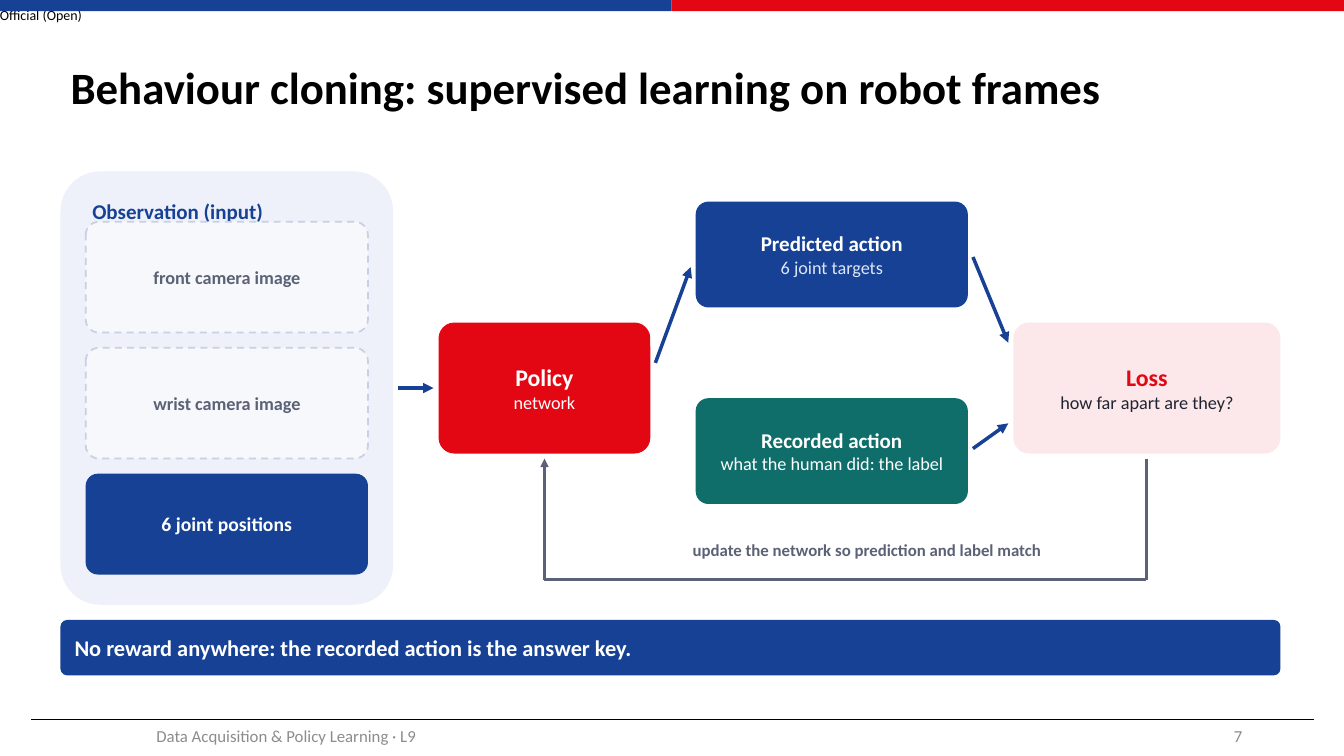
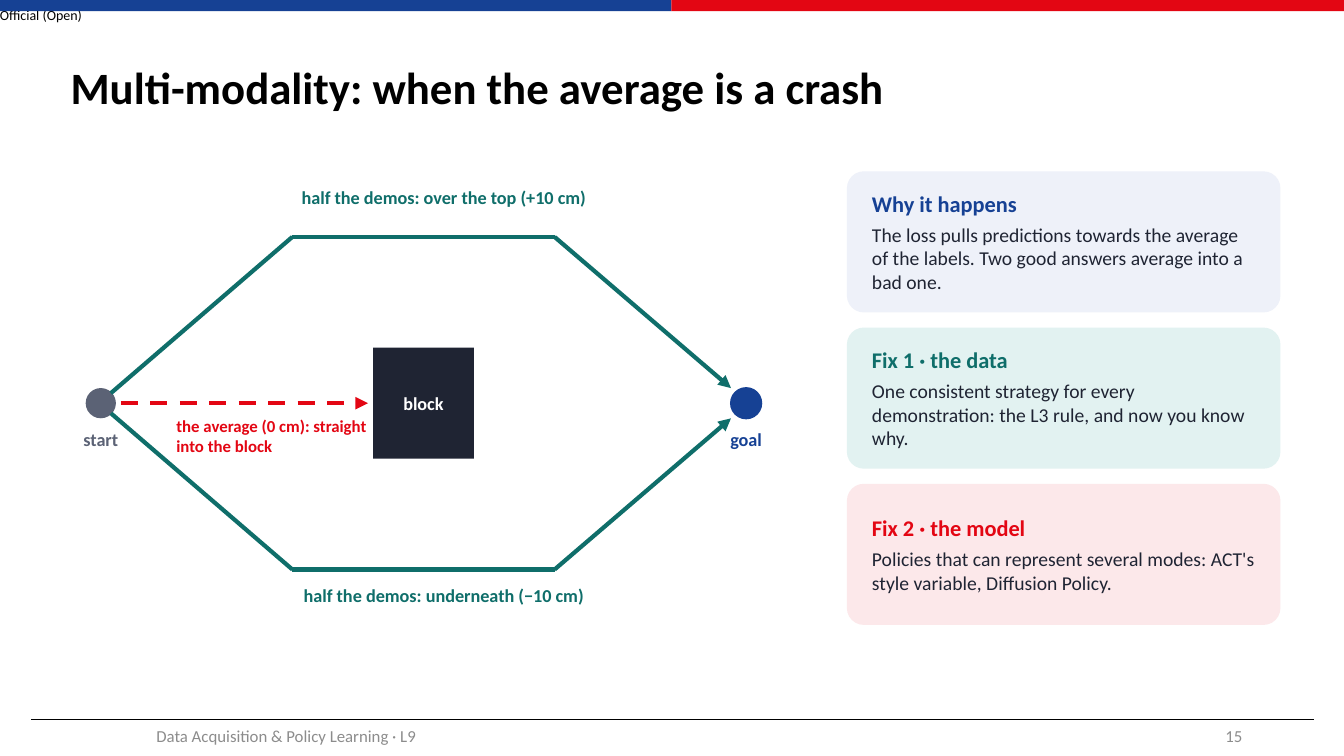
from itertools import pairwise

from lxml import etree
from pptx import Presentation
from pptx import util as u
from pptx.dml import color
from pptx.enum import dml, shapes, text
from pptx.oxml import ns

PX = 9144
WIDTH, HEIGHT = 1333, 750
FONT = "Calibri"
COLOURS = {
    "black": "000000",
    "white": "FFFFFF",
    "footer": "8C8C8C",
    "blue": "164194",
    "red": "E30613",
    "teal": "0F6E6A",
    "ink": "1F2433",
    "slate": "5B6275",
    "pale_blue": "EEF1F9",
    "pale_teal": "E2F2F1",
    "pale_red": "FCE8EA",
    "frost": "F7F8FC",
    "dash": "C9D0E3",
    "ice": "DDE5F7",
}
LEFT, CENTRE, RIGHT = text.PP_ALIGN.LEFT, text.PP_ALIGN.CENTER, text.PP_ALIGN.RIGHT
TOP, MIDDLE = text.MSO_ANCHOR.TOP, text.MSO_ANCHOR.MIDDLE
RECTANGLE = shapes.MSO_SHAPE.RECTANGLE
ROUNDED = shapes.MSO_SHAPE.ROUNDED_RECTANGLE
OVAL = shapes.MSO_SHAPE.OVAL


def emu(*lengths):
    return [u.Emu(length * PX) for length in lengths]


def rgb(name):
    return color.RGBColor.from_string(COLOURS[name])


def write(shape, words, *, size, colour, bold=True, align=CENTRE, after=0, spacing=None):
    frame = shape.text_frame
    paragraph = frame.add_paragraph() if frame.text else frame.paragraphs[0]
    paragraph.alignment = align
    paragraph.space_after = u.Pt(after)
    if spacing:
        paragraph.line_spacing = spacing
    run = paragraph.add_run()
    run.text = words
    run.font.name = FONT
    run.font.size = u.Pt(size)
    run.font.bold = bold
    run.font.color.rgb = rgb(colour)


def set_frame(shape, insets, anchor):
    frame = shape.text_frame
    frame.word_wrap = True
    frame.vertical_anchor = anchor
    frame.margin_left, frame.margin_top = frame.margin_right, frame.margin_bottom = emu(*insets)


def add_box(slide, box, fill, kind=ROUNDED, outline=None, insets=(12, 6), anchor=MIDDLE):
    shape = slide.shapes.add_shape(kind, *emu(*box))
    shape.shadow.inherit = False
    shape.fill.solid()
    shape.fill.fore_color.rgb = rgb(fill)
    if kind == ROUNDED:
        shape.adjustments[0] = 0.12
    if outline:
        shape.line.color.rgb = rgb(outline)
        shape.line.width = u.Pt(1.25)
        shape.line.dash_style = dml.MSO_LINE.DASH
    else:
        shape.line.fill.background()
    set_frame(shape, insets, anchor)
    return shape


def add_label(slide, box, words, insets=(0, 0), anchor=TOP, **style):
    label = slide.shapes.add_textbox(*emu(*box))
    set_frame(label, insets, anchor)
    write(label, words, **style)
    return label


def add_route(slide, points, colour, width, arrow=True, dashed=False):
    for start, end in pairwise(points):
        line = slide.shapes.add_connector(shapes.MSO_CONNECTOR.STRAIGHT, *emu(*start, *end))
        line.line.color.rgb = rgb(colour)
        line.line.width = u.Pt(width)
        if dashed:
            line.line.dash_style = dml.MSO_LINE.DASH
        if arrow and end == points[-1]:
            etree.SubElement(line.get_or_add_ln(), ns.qn("a:tailEnd"), type="triangle")
        etree.SubElement(line.element.spPr, ns.qn("a:effectLst"))
    return line


def decorate_layout(slide):
    half = WIDTH // 2
    parts = [
        add_label(slide, (0, 0, 113, 29), "Official (Open)", anchor=MIDDLE,
                  size=10, colour="black", bold=False, align=LEFT),
        add_box(slide, (0, 0, half, 11), "blue", RECTANGLE),
        add_box(slide, (half, 0, WIDTH - half, 11), "red", RECTANGLE),
        add_route(slide, [(31, 714), (1303, 714)], "black", 0.5, arrow=False),
    ]
    for part in parts:
        slide.slide_layout.shapes.element.append(part.element)


def start_slide(presentation, title, number):
    slide = presentation.slides.add_slide(presentation.slide_layouts[5])
    if len(presentation.slides) == 1:
        decorate_layout(slide)
    heading = slide.shapes.title
    heading.left, heading.top, heading.width, heading.height = emu(60, 30, 1208, 118)
    set_frame(heading, (10, 5), MIDDLE)
    write(heading, title, size=32, colour="black", align=LEFT, spacing=0.9)
    footer = {"insets": (10, 5), "anchor": MIDDLE, "size": 12, "colour": "footer", "bold": False}
    add_label(slide, (59, 710, 450, 40), "Data Acquisition & Policy Learning · L9", **footer)
    add_label(slide, (942, 710, 300, 40), str(number), align=RIGHT, **footer)
    return slide


def add_observation(slide, box):
    left, top, width, _ = box
    panel = add_box(slide, box, "pale_blue", insets=(20, 15), anchor=TOP)
    write(panel, "Observation (input)", size=15, colour="blue", align=LEFT)
    inputs = [
        ("front camera image", 110, "frost", "dash", 13, "slate"),
        ("wrist camera image", 110, "frost", "dash", 13, "slate"),
        ("6 joint positions", 100, "blue", None, 14, "white"),
    ]
    y = top + 50
    for words, height, fill, outline, size, colour in inputs:
        card = add_box(slide, (left + 25, y, width - 50, height), fill, outline=outline)
        write(card, words, size=size, colour=colour)
        y += height + 15


def add_training_loop(slide, box):
    left, top, width, _ = box
    nodes = [
        ((0, 150, 210, 130), "red", "Policy", 17, "white", "network", "white"),
        ((255, 30, 270, 105), "blue", "Predicted action", 15, "white", "6 joint targets", "ice"),
        ((255, 225, 270, 105), "teal", "Recorded action", 15, "white",
         "what the human did: the label", "white"),
        ((width - 265, 150, 265, 130), "pale_red", "Loss", 17, "red",
         "how far apart are they?", "ink"),
    ]
    for (x, y, w, h), fill, name, size, name_colour, detail, detail_colour in nodes:
        node = add_box(slide, (left + x, top + y, w, h), fill)
        write(node, name, size=size, colour=name_colour)
        write(node, detail, size=13, colour=detail_colour, bold=False)

    routes = [
        ([(-40, 215), (-5, 215)], "blue", 2.5),
        ([(215, 190), (250, 95)], "blue", 2.5),
        ([(530, 85), (565, 170)], "blue", 2.5),
        ([(530, 275), (565, 250)], "blue", 2.5),
        ([(702, 285), (702, 405), (105, 405), (105, 285)], "slate", 2),
    ]
    for points, colour, weight in routes:
        add_route(slide, [(left + x, top + y) for x, y in points], colour, weight)
    add_label(slide, (left + 165, top + 365, 520, 35),
              "update the network so prediction and label match", size=12, colour="slate")


def add_takeaway(slide, box, words):
    write(add_box(slide, box, "blue"), words, size=16, colour="white", align=LEFT)


def add_path_map(slide, box):
    left, top, width, height = box
    right, bottom, middle = left + width, top + height, top + height // 2
    ends = [("start", left + 15, 15, "slate"), ("goal", right - 16, 16, "blue")]
    for words, x, radius, colour in ends:
        add_box(slide, (x - radius, middle - radius, 2 * radius, 2 * radius), colour, OVAL)
        add_label(slide, (x - 60, middle + 25, 120, 35), words, size=13, colour=colour)

    block = add_box(slide, (left + 285, middle - 55, 100, 110), "ink", RECTANGLE)
    write(block, "block", size=13, colour="white")

    demos = [
        (-1, top, top - 50, "half the demos: over the top (+10 cm)"),
        (1, bottom, bottom + 15, "half the demos: underneath (−10 cm)"),
    ]
    for side, edge, label_top, words in demos:
        points = [(left + 25, middle + side * 10), (left + 205, edge),
                  (left + 465, edge), (right - 31, middle + side * 15)]
        add_route(slide, points, "teal", 3)
        add_label(slide, (left + 155, label_top, 400, 40), words, size=13, colour="teal")

    add_route(slide, [(left + 35, middle), (left + 280, middle)], "red", 3, dashed=True)
    add_label(slide, (left + 90, middle + 12, 190, 60),
              "the average (0 cm): straight into the block", size=12, colour="red", align=LEFT)


def add_cards(slide, box, cards, gap=15):
    left, top, width, height = box
    card_height = (height - gap * (len(cards) - 1)) // len(cards)
    for index, (heading, body, fill, colour) in enumerate(cards):
        y = top + index * (card_height + gap)
        card = add_box(slide, (left, y, width, card_height), fill, insets=(20, 10))
        write(card, heading, size=16, colour=colour, align=LEFT, after=4)
        write(card, body, size=14, colour="ink", bold=False, align=LEFT)


def build_cloning(presentation):
    slide = start_slide(presentation, "Behaviour cloning: supervised learning on robot frames", 7)
    add_observation(slide, (60, 170, 330, 430))
    add_training_loop(slide, (435, 170, 835, 430))
    add_takeaway(slide, (60, 615, 1210, 55),
                 "No reward anywhere: the recorded action is the answer key.")


def build_modes(presentation):
    slide = start_slide(presentation, "Multi-modality: when the average is a crash", 15)
    add_path_map(slide, (85, 235, 671, 330))
    add_cards(slide, (840, 170, 430, 450), [
        ("Why it happens",
         "The loss pulls predictions towards the average of the labels. "
         "Two good answers average into a bad one.", "pale_blue", "blue"),
        ("Fix 1 · the data",
         "One consistent strategy for every demonstration: the L3 rule, and now you know why.",
         "pale_teal", "teal"),
        ("Fix 2 · the model",
         "Policies that can represent several modes: ACT's style variable, Diffusion Policy.",
         "pale_red", "red"),
    ])


def main():
    presentation = Presentation()
    presentation.slide_width, presentation.slide_height = emu(WIDTH, HEIGHT)
    build_cloning(presentation)
    build_modes(presentation)
    presentation.save("out.pptx")


if __name__ == "__main__":
    main()
